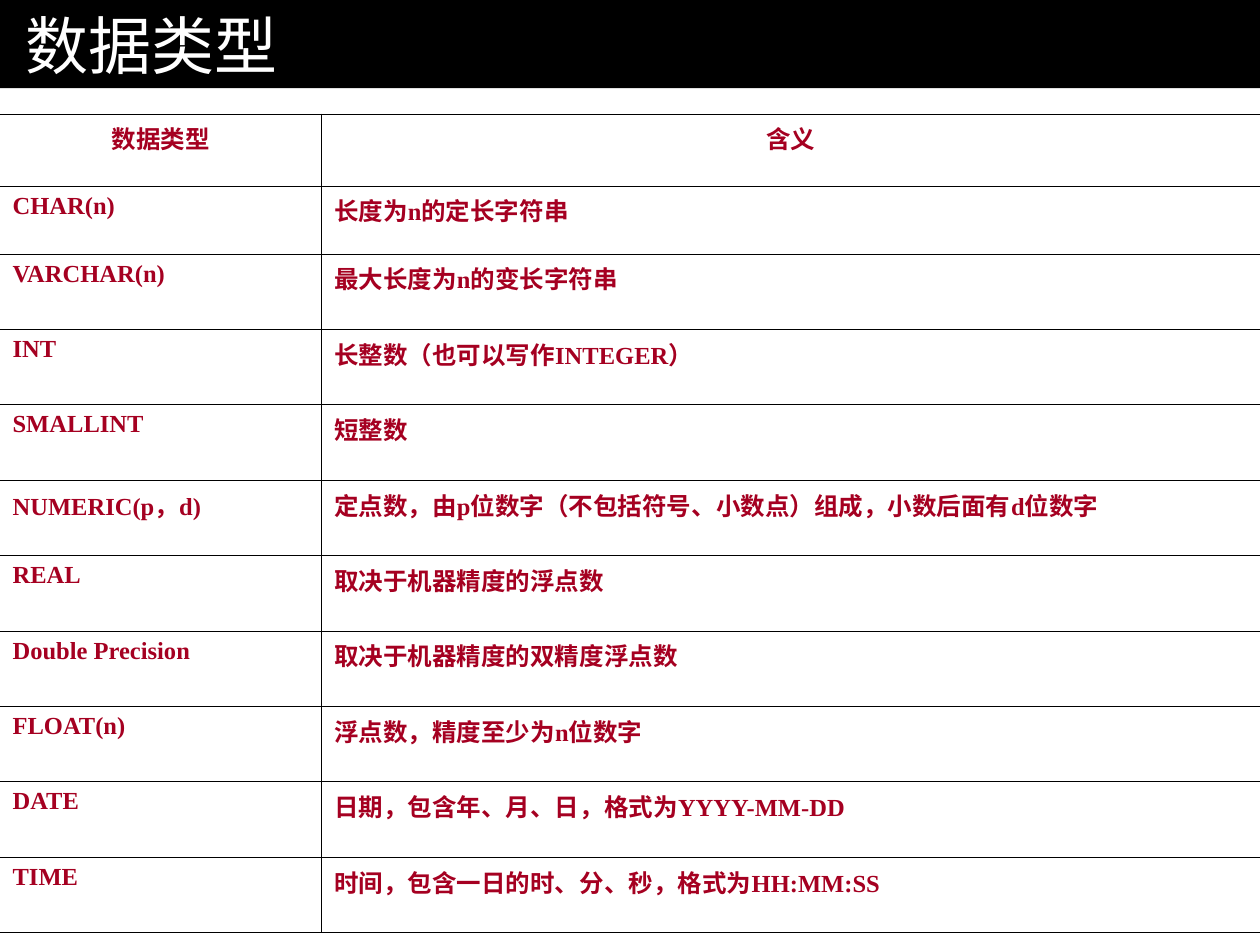
from lxml import etree
from pptx import Presentation
from pptx import util as u
from pptx.dml import color
from pptx.enum import text
from pptx.oxml import ns

COLORS = {"band": "000000", "title": "FFFFFF", "entry": "A50021", "rule": "000000"}
HEADER = ("数据类型", "含义")
DATA_TYPES = [
    ("CHAR(n)", "长度为n的定长字符串"),
    ("VARCHAR(n)", "最大长度为n的变长字符串"),
    ("INT", "长整数（也可以写作INTEGER）"),
    ("SMALLINT", "短整数"),
    ("NUMERIC(p，d)", "定点数，由p位数字（不包括符号、小数点）组成，小数后面有d位数字"),
    ("REAL", "取决于机器精度的浮点数"),
    ("Double Precision", "取决于机器精度的双精度浮点数"),
    ("FLOAT(n)", "浮点数，精度至少为n位数字"),
    ("DATE", "日期，包含年、月、日，格式为YYYY-MM-DD"),
    ("TIME", "时间，包含一日的时、分、秒，格式为HH:MM:SS"),
]
COLUMN_WIDTHS = (6.48, 18.92)
ROW_HEIGHTS = [1.45, 1.37] + [1.52] * (len(DATA_TYPES) - 1)


def rgb(name):
    return color.RGBColor.from_string(COLORS[name])


def write(frame, content, *, size, font, ink, bold=False,
          align=text.PP_ALIGN.LEFT, hanging=0):
    paragraph = frame.paragraphs[0]
    paragraph.alignment = align
    if hanging:
        properties = paragraph._p.get_or_add_pPr()
        properties.set("marL", str(u.Cm(hanging)))
        properties.set("indent", str(-u.Cm(hanging)))
    run = paragraph.add_run()
    run.text = content
    run.font.size = u.Pt(size)
    run.font.name = font
    run.font.bold = bold
    run.font.color.rgb = rgb(ink)


def add_border(cell, side, width):
    """Draw one side of a cell; a width of 0 leaves that side open."""
    line = etree.SubElement(cell._tc.get_or_add_tcPr(), ns.qn(f"a:ln{side}"))
    line.set("w", str(u.Pt(width)))
    if width:
        fill = etree.SubElement(line, ns.qn("a:solidFill"))
        etree.SubElement(fill, ns.qn("a:srgbClr")).set("val", COLORS["rule"])
    else:
        etree.SubElement(line, ns.qn("a:noFill"))


def add_title(slide, content):
    title = slide.shapes.title
    title.left, title.top = u.Cm(0), u.Cm(0)
    title.width, title.height = u.Cm(25.4), u.Cm(1.78)
    title.fill.solid()
    title.fill.fore_color.rgb = rgb("band")
    frame = title.text_frame
    frame.auto_size = text.MSO_AUTO_SIZE.NONE
    frame.vertical_anchor = text.MSO_ANCHOR.MIDDLE
    frame.margin_left = frame.margin_right = u.Cm(0.51)
    write(frame, content, size=36, font="Lato", ink="title")


def add_type_table(slide):
    rows = [HEADER] + DATA_TYPES
    table = slide.shapes.add_table(
        len(rows), len(HEADER), u.Cm(0), u.Cm(2.3),
        u.Cm(sum(COLUMN_WIDTHS)), u.Cm(sum(ROW_HEIGHTS))).table
    table.first_row = table.horz_banding = False
    for column, width in zip(table.columns, COLUMN_WIDTHS):
        column.width = u.Cm(width)
    for row, height in zip(table.rows, ROW_HEIGHTS):
        row.height = u.Cm(height)

    for i, entries in enumerate(rows):
        align = text.PP_ALIGN.LEFT if i else text.PP_ALIGN.CENTER
        for j, entry in enumerate(entries):
            cell = table.cell(i, j)
            # Only the divider between the columns is vertical
            borders = {"L": 1.08 * j, "R": 1.08 * (1 - j), "T": 0.45, "B": 0.45}
            for side, width in borders.items():
                add_border(cell, side, width)
            cell.fill.background()
            write(cell.text_frame, entry, size=14, font="Times New Roman",
                  ink="entry", bold=True, align=align, hanging=0.95)


def main():
    deck = Presentation()
    deck.slide_width, deck.slide_height = u.Cm(25.4), u.Cm(19.05)
    slide = deck.slides.add_slide(deck.slide_layouts[5])  # title only
    add_title(slide, "数据类型")
    add_type_table(slide)
    deck.save("out.pptx")


if __name__ == "__main__":
    main()
